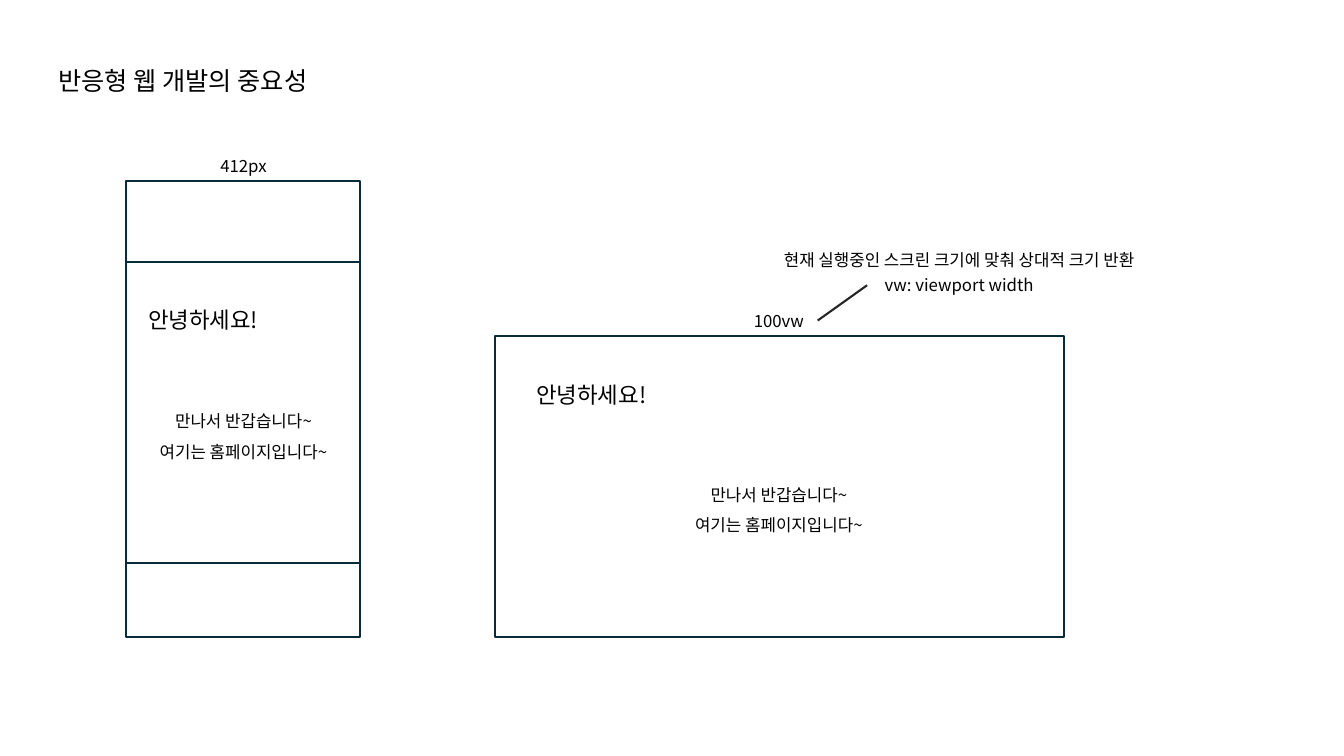
from lxml import etree
from pptx import Presentation
from pptx import util as u
from pptx.dml.color import RGBColor
from pptx.enum import shapes, text
from pptx.oxml import ns

FONT = "Noto Sans CJK KR"
COLORS = {"text": "000000", "frame": "092A39", "pointer": "262626", "page": "FFFFFF"}

presentation = Presentation()
presentation.slide_width = u.Inches(13.33)
presentation.slide_height = u.Inches(7.5)
slide = presentation.slides.add_slide(presentation.slide_layouts[5])


def write_text(shape, box, lines, size, align=text.PP_ALIGN.CENTER,
               anchor=text.MSO_ANCHOR.TOP, spacing=1.0):
    shape.left, shape.top, shape.width, shape.height = [u.Inches(value) for value in box]
    frame = shape.text_frame
    frame.text = "\n".join(lines)
    frame.word_wrap = False
    frame.auto_size = text.MSO_AUTO_SIZE.SHAPE_TO_FIT_TEXT
    frame.vertical_anchor = anchor
    for paragraph in frame.paragraphs:
        paragraph.alignment = align
        paragraph.line_spacing = spacing
        font = paragraph.font
        font.size = u.Pt(size)
        font.color.rgb = RGBColor.from_string(COLORS["text"])
        font.name = FONT
        # Hangul takes the East Asian typeface
        properties = paragraph._p.pPr.find(ns.qn("a:defRPr"))
        etree.SubElement(properties, ns.qn("a:ea"), typeface=FONT)
    return shape


def add_frame(box, filled=True):
    shape = slide.shapes.add_shape(shapes.MSO_SHAPE.RECTANGLE, *[u.Inches(value) for value in box])
    shape.shadow.inherit = False
    if filled:
        shape.fill.solid()
        shape.fill.fore_color.rgb = RGBColor.from_string(COLORS["page"])
    else:
        shape.fill.background()
    shape.line.color.rgb = RGBColor.from_string(COLORS["frame"])
    shape.line.width = u.Pt(1.5)


# Title
write_text(slide.shapes.title, (0.48, 0.6, 2.84, 0.4), ["반응형 웹 개발의 중요성"], 18,
           align=text.PP_ALIGN.LEFT)

# Web page on a phone and on a wide screen: page, greeting, message
pages = [
    ((1.25, 2.6, 2.32, 2.99), (1.34, 2.99), (1.41, 3.93)),
    ((4.91, 3.33, 5.64, 2.99), (5.19, 3.73), (6.72, 4.66)),
]
for page, greeting, message in pages:
    add_frame(page)
    write_text(slide.shapes.add_textbox(0, 0, 0, 0), (*greeting, 1.35, 0.37),
               ["안녕하세요!"], 16, anchor=text.MSO_ANCHOR.MIDDLE)
    write_text(slide.shapes.add_textbox(0, 0, 0, 0), (*message, 2.01, 0.67),
               ["만나서 반갑습니다~", "여기는 홈페이지입니다~"], 12, spacing=1.5)

# Phone outline
add_frame((1.25, 1.8, 2.32, 4.52), filled=False)

# Width labels and explanation
labels = {}
for label, box in [
    ("412px", (2.06, 1.5, 0.71, 0.3)),
    ("100vw", (7.34, 3.03, 0.77, 0.3)),
    ("vw: viewport width", (8.6, 2.68, 1.83, 0.3)),
    ("현재 실행중인 스크린 크기에 맞춰 상대적 크기 반환", (7.55, 2.43, 3.93, 0.3)),
]:
    labels[label] = write_text(slide.shapes.add_textbox(0, 0, 0, 0), box, [label], 12)

# Pointer from the unit to its meaning
pointer = slide.shapes.add_connector(shapes.MSO_CONNECTOR.STRAIGHT, 0, 0, 0, 0)
pointer.begin_connect(labels["100vw"], 3)
pointer.end_connect(labels["vw: viewport width"], 1)
pointer.line.color.rgb = RGBColor.from_string(COLORS["pointer"])
pointer.line.width = u.Pt(1.5)
etree.SubElement(pointer._element.spPr, ns.qn("a:effectLst"))

presentation.save("out.pptx")
